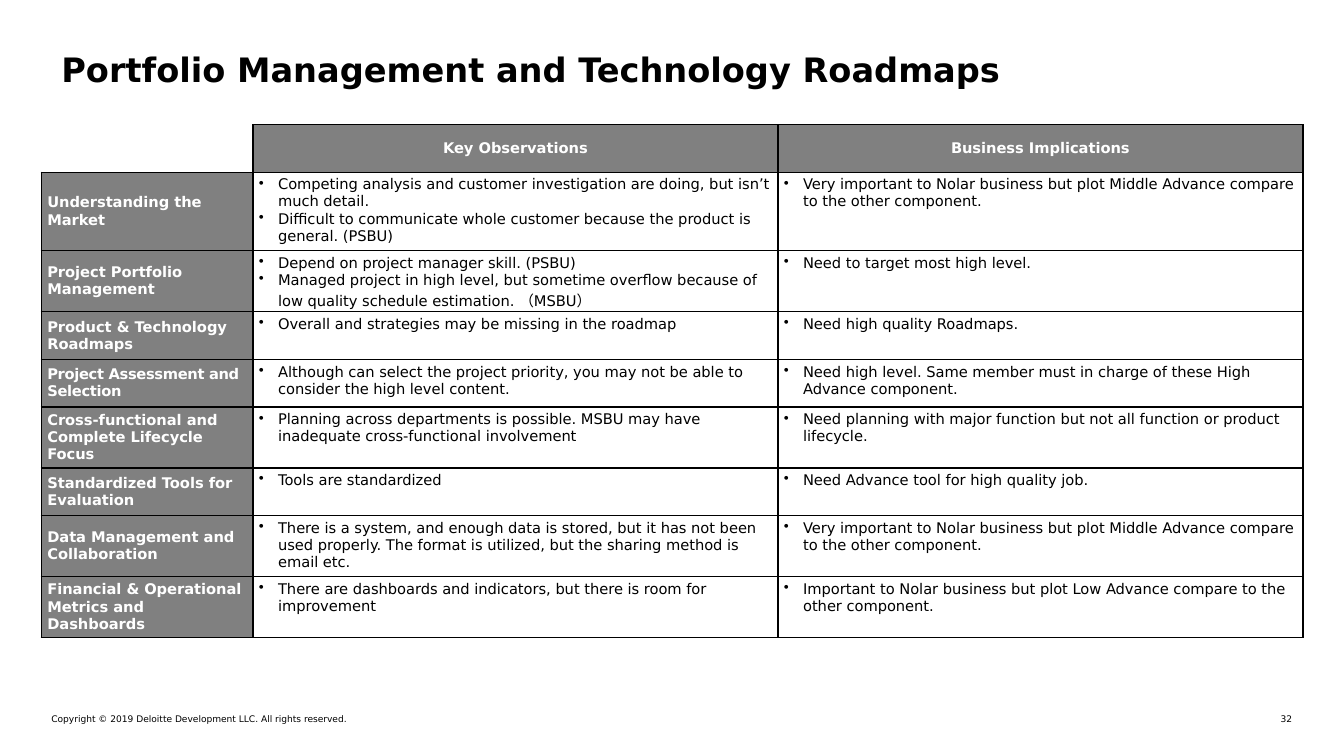
from lxml import etree
from pptx import Presentation
from pptx.dml.color import RGBColor
from pptx.enum import text as t
from pptx.oxml import ns
from pptx.util import Pt

FACE = "DejaVu Sans"
BLACK, WHITE, GRAY = "000000", "FFFFFF", "808080"
LEFT, MID = t.PP_ALIGN.LEFT, t.PP_ALIGN.CENTER

HEADS = ["Key Observations", "Business Implications"]
ROWS = [
    ("Understanding the Market",
     ["Competing analysis and customer investigation are doing, but isn’t much detail.",
      "Difficult to communicate whole customer because the product is general. (PSBU)"],
     ["Very important to Nolar business but plot Middle Advance compare to the other component."]),
    ("Project Portfolio Management",
     ["Depend on project manager skill. (PSBU)",
      "Managed project in high level, but sometime overflow because of low quality "
      "schedule estimation. （MSBU）"],
     ["Need to target most high level."]),
    ("Product & Technology Roadmaps",
     ["Overall and strategies may be missing in the roadmap"],
     ["Need high quality Roadmaps."]),
    ("Project Assessment and Selection",
     ["Although can select the project priority, you may not be able to consider "
      "the high level content."],
     ["Need high level. Same member must in charge of these High Advance component."]),
    ("Cross-functional and Complete Lifecycle Focus",
     ["Planning across departments is possible. MSBU may have inadequate "
      "cross-functional involvement"],
     ["Need planning with major function but not all function or product lifecycle."]),
    ("Standardized Tools for Evaluation",
     ["Tools are standardized"],
     ["Need Advance tool for high quality job."]),
    ("Data Management and Collaboration",
     ["There is a system, and enough data is stored, but it has not been used properly. "
      "The format is utilized, but the sharing method is email etc."],
     ["Very important to Nolar business but plot Middle Advance compare to the other component."]),
    ("Financial & Operational Metrics and Dashboards",
     ["There are dashboards and indicators, but there is room for improvement"],
     ["Important to Nolar business but plot Low Advance compare to the other component."]),
]
TIGHT = "Project Assessment and Selection"


def rgb(code):
    return RGBColor.from_string(code)


def style(para, size, color=BLACK, bold=False, align=LEFT):
    para.alignment = align
    font = para.font
    font.name, font.size, font.bold = FACE, Pt(size), bold
    font.color.rgb = rgb(color)


def label(slide, box, words, size, inset=0, **look):
    frame = slide.shapes.add_textbox(*map(Pt, box)).text_frame
    frame.word_wrap = True
    frame.margin_left = frame.margin_right = Pt(inset)
    frame.margin_top = frame.margin_bottom = Pt(inset / 2)
    frame.text = words
    style(frame.paragraphs[0], size, **look)


def bullet(para):
    props = para._p.get_or_add_pPr()
    props.set("marL", str(Pt(13.7)))
    props.set("indent", str(Pt(-13.7)))
    etree.SubElement(props, ns.qn("a:buChar")).set("char", "•")


def edge(cell, sides="LRTB"):
    """Draw black lines on the given sides and clear the rest."""
    props = cell._tc.get_or_add_tcPr()
    for spot, side in enumerate("LRTB"):
        line = etree.Element(ns.qn("a:ln" + side), w=str(Pt(1)))
        if side in sides:
            fill = etree.SubElement(line, ns.qn("a:solidFill"))
            etree.SubElement(fill, ns.qn("a:srgbClr")).set("val", BLACK)
        else:
            etree.SubElement(line, ns.qn("a:noFill"))
        props.insert(spot, line)


def fill(cell, lines, back=WHITE, dots=False, **look):
    cell.margin_left = cell.margin_right = Pt(4.3)
    cell.margin_top = cell.margin_bottom = Pt(2.9)
    cell.fill.solid()
    cell.fill.fore_color.rgb = rgb(back)
    edge(cell)
    cell.text = "\n".join(lines)
    for para in cell.text_frame.paragraphs:
        if dots:
            bullet(para)
        style(para, 10.5, **look)


def head(cell, words, align=LEFT):
    fill(cell, [words], GRAY, color=WHITE, bold=True, align=align)
    cell.vertical_anchor = t.MSO_ANCHOR.MIDDLE


def grid(slide, left, top, cols, high):
    count = len(ROWS) + 1
    table = slide.shapes.add_table(
        count, len(cols), Pt(left), Pt(top), Pt(sum(cols)), Pt(high * count)).table
    table.first_row = table.horz_banding = False
    for col, wide in zip(table.columns, cols):
        col.width = Pt(wide)
    for row in table.rows:
        row.height = Pt(high)

    corner = table.cell(0, 0)
    corner.fill.background()
    edge(corner, "RB")
    for c, words in enumerate(HEADS, 1):
        head(table.cell(0, c), words, MID)
        table.cell(0, c).text_frame.paragraphs[0].line_spacing = 0.9
    for r, (name, *notes) in enumerate(ROWS, 1):
        cell = table.cell(r, 0)
        head(cell, name)
        if name == TIGHT:
            run = cell.text_frame.paragraphs[0].runs[0]
            run._r.get_or_add_rPr().set("spc", "-20")
        for c, lines in enumerate(notes, 1):
            fill(table.cell(r, c), lines, dots=True)


def footer(slide, left, top, wide):
    label(slide, (left, top, 422, 8),
          "Copyright © 2019 Deloitte Development LLC. All rights reserved.", 6.5)
    label(slide, (left + wide - 24, top, 24, 8), "32", 6.5, align=t.PP_ALIGN.RIGHT)


def main():
    deck = Presentation()
    deck.slide_width, deck.slide_height = Pt(960), Pt(540)
    slide = deck.slides.add_slide(deck.slide_layouts[6])
    footer(slide, 36.7, 509.8, 886.3)
    grid(slide, 29.5, 89, (151.2, 375, 375), 34)
    label(slide, (36.7, 31.7, 886.3, 26.6),
          "Portfolio Management and Technology Roadmaps", 24, inset=7.2, bold=True)
    deck.save("out.pptx")


if __name__ == "__main__":
    main()
